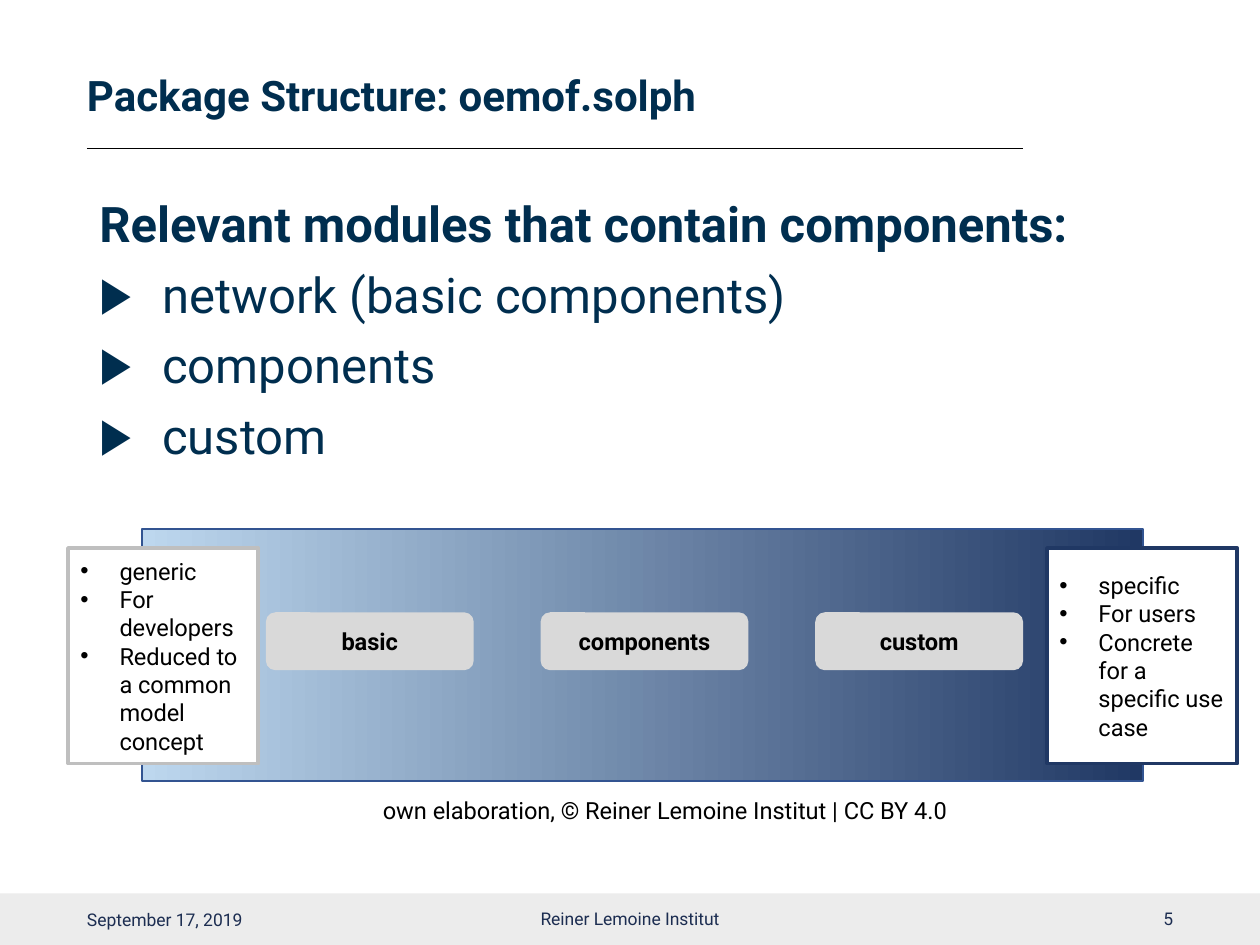
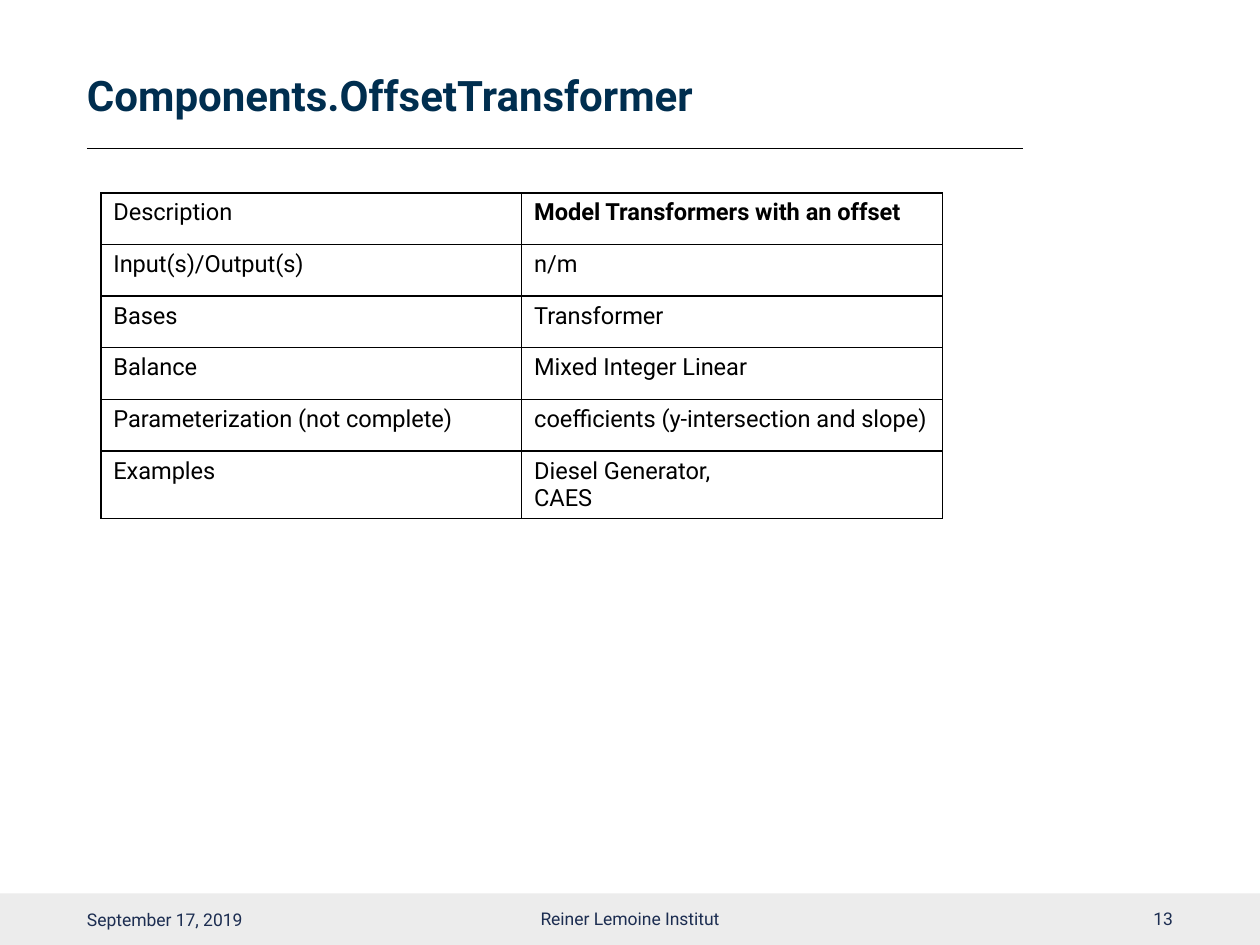
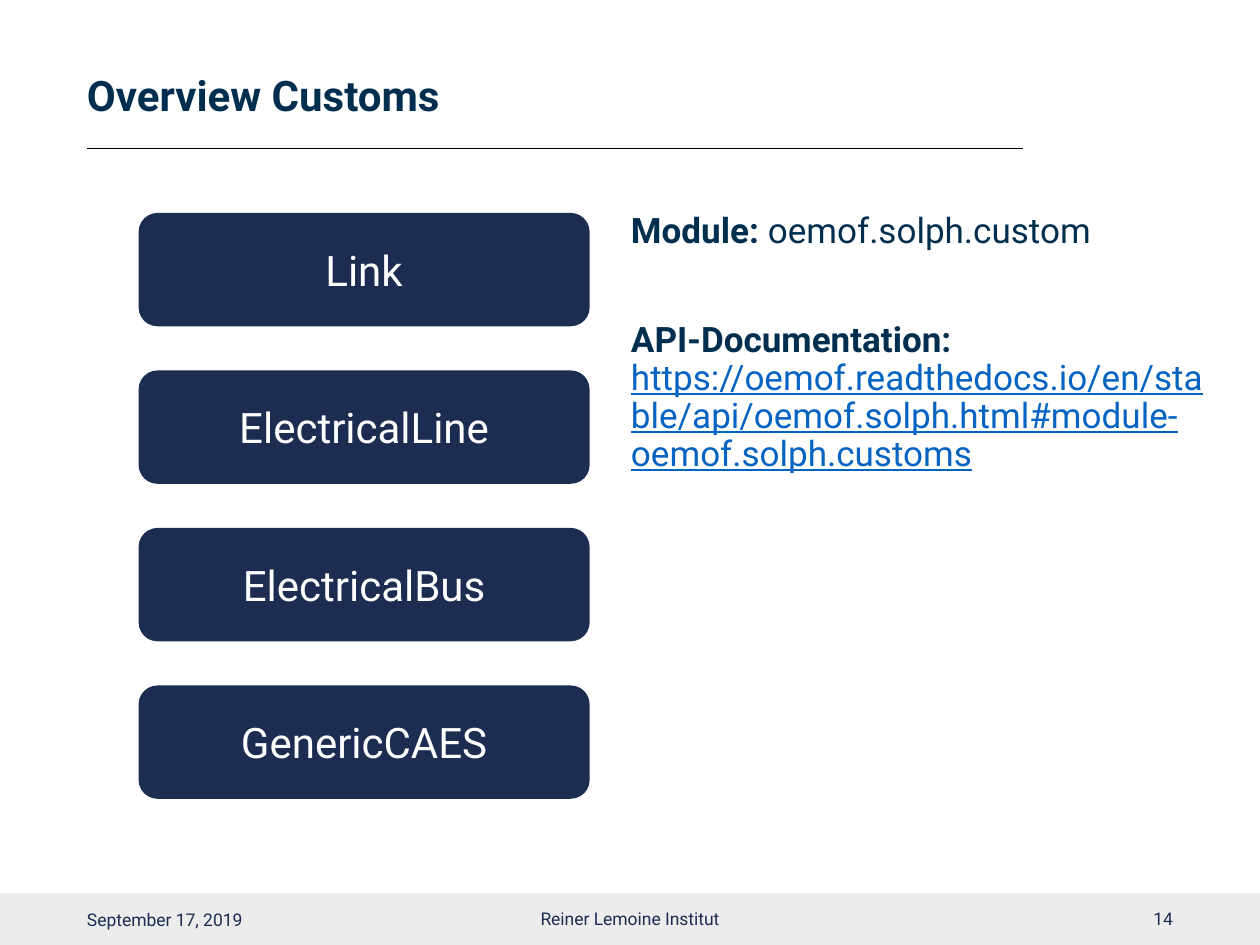
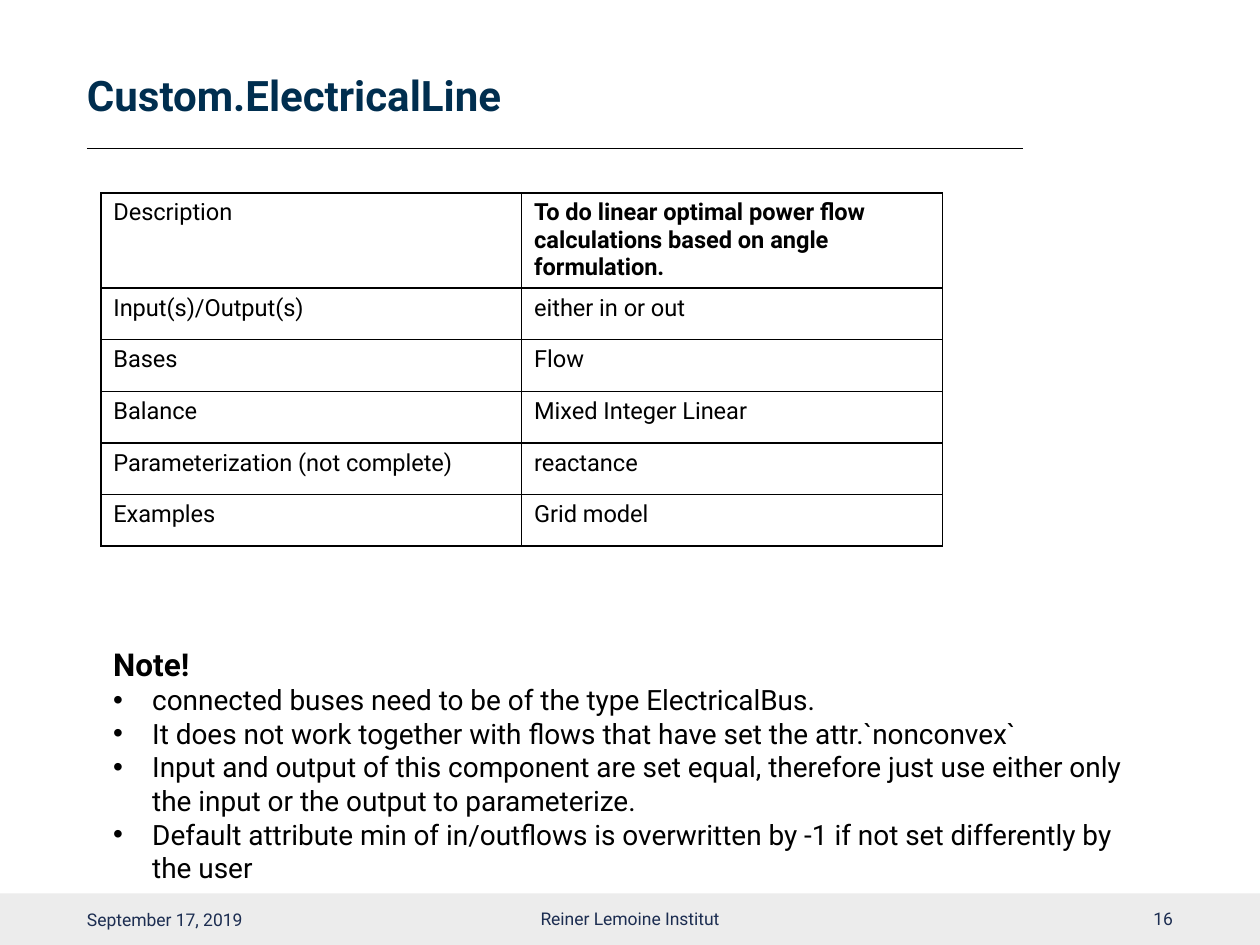
from collections import namedtuple
from dataclasses import dataclass

from lxml import etree
from pptx import Presentation
from pptx.dml.color import RGBColor
from pptx.enum.shapes import MSO_CONNECTOR, MSO_SHAPE
from pptx.enum.text import MSO_ANCHOR, MSO_AUTO_SIZE, PP_ALIGN
from pptx.oxml.ns import qn
from pptx.util import Inches, Pt

LEFT, MID, RIGHT = PP_ALIGN.LEFT, PP_ALIGN.CENTER, PP_ALIGN.RIGHT
TOP, CENTRE = MSO_ANCHOR.TOP, MSO_ANCHOR.MIDDLE
RECT, ROUND = MSO_SHAPE.RECTANGLE, MSO_SHAPE.ROUNDED_RECTANGLE
STRAIGHT = MSO_CONNECTOR.STRAIGHT

# Slide grid: 100 columns by 75 rows of square cells
COLS, ROWS, CELL = 100, 75, 0.1


@dataclass(frozen=True)
class Theme:
    font: str = "Roboto"
    ink: str = "002E4F"
    navy: str = "1C2D51"
    deep: str = "203864"
    sky: str = "BDD7EE"
    edge: str = "325491"
    link: str = "0563C1"
    band: str = "ECECEC"
    chip: str = "D9D9D9"
    grey: str = "BFBFBF"
    black: str = "000000"
    white: str = "FFFFFF"
    lead: float = 28
    title: float = 24
    text: float = 20
    head: float = 18
    note: float = 16
    small: float = 13.5
    foot: float = 10


T = Theme()
Box = namedtuple("Box", "x y w h")
Run = namedtuple("Run", "text bold color line size", defaults=(False, None, False, None))
# A bullet is its sign, its hanging indent in columns and its colour
Bullet = namedtuple("Bullet", "sign hang color")
Para = namedtuple("Para", "runs bullet before", defaults=(None, 0))
DOT = Bullet("•", 3.1, T.black)
ARROW = Bullet("▶", 5, T.ink)

TITLE = Box(6.9, 3.8, 74.3, 8)
FOOT = Box(0, 70.9, COLS, 4.1)
BODY = Box(6.9, 15.9, 86.2, 50.9)
GRID = Box(8, 15.3, 66.7, 24.6)


def rgb(code):
    return RGBColor.from_string(code)


def cells(*counts):
    return [Inches(round(n * CELL, 2)) for n in counts]


def inside(box, x, y, w, h):
    return Box(box.x + x, box.y + y, w, h)


def line(text, bold=False, bullet=None, before=0):
    return Para([Run(text, bold)], bullet, before)


def mark(para, bullet):
    """Give a paragraph a hanging bullet."""
    props = para._p.get_or_add_pPr()
    hang = cells(bullet.hang)[0]
    props.set("marL", str(hang))
    props.set("indent", str(-hang))
    tint = etree.SubElement(props, qn("a:buClr"))
    etree.SubElement(tint, qn("a:srgbClr"), val=bullet.color)
    etree.SubElement(props, qn("a:buFont"), typeface="Arial")
    etree.SubElement(props, qn("a:buChar"), char=bullet.sign)


def write(frame, paras, size, color, align=LEFT, space=None):
    for i, item in enumerate(paras):
        para = frame.add_paragraph() if i else frame.paragraphs[0]
        if item.bullet:
            mark(para, item.bullet)
        para.alignment = align
        if space:
            para.line_spacing = space
        if i and item.before:
            para.space_before = Pt(item.before)
        for part in item.runs:
            run = para.add_run()
            run.text = part.text
            font = run.font
            font.name, font.size = T.font, Pt(part.size or size)
            font.bold = part.bold
            font.color.rgb = rgb(part.color or color)
            if part.line:
                font.underline = True


def fit(frame, anchor, pads):
    frame.word_wrap, frame.auto_size = True, MSO_AUTO_SIZE.NONE
    frame.vertical_anchor = anchor
    (frame.margin_left, frame.margin_top,
     frame.margin_right, frame.margin_bottom) = cells(*pads)


def label(slide, box, paras, size, color, align=LEFT, anchor=TOP,
          space=None, pads=(1, 0.5, 1, 0.5)):
    frame = slide.shapes.add_textbox(*cells(*box)).text_frame
    fit(frame, anchor, pads)
    write(frame, paras, size, color, align, space)


def block(slide, kind, box, fill=None, edge=None, width=1):
    shape = slide.shapes.add_shape(kind, *cells(*box))
    shape.shadow.inherit = False
    if fill:
        shape.fill.solid()
        shape.fill.fore_color.rgb = rgb(fill)
    if edge:
        shape.line.color.rgb = rgb(edge)
        shape.line.width = Pt(width)
    else:
        shape.line.fill.background()
    fit(shape.text_frame, CENTRE, (1, 0.5, 1, 0.5))
    return shape


# Parts that all slides share
def dress(layout, slide):
    """Draw the rule and footer band, then hand them to the layout."""
    base = TITLE.y + TITLE.h
    rule = slide.shapes.add_connector(
        STRAIGHT, *cells(TITLE.x, base, TITLE.x + TITLE.w, base))
    rule.line.color.rgb, rule.line.width = rgb(T.black), Pt(0.5)
    etree.SubElement(rule.element.spPr, qn("a:effectLst"))
    band = block(slide, RECT, FOOT, T.band)
    for part in (rule, band):
        layout.shapes.element.insert(2, part.element)


def footer(slide, box, page):
    label(slide, inside(box, 70.6, 0, 22.5, 4), [line(str(page))], T.foot,
          T.navy, RIGHT, CENTRE, pads=(0, 0.5, 0, 0.5))
    label(slide, inside(box, 33.1, 0, 33.8, 4), [line("Reiner Lemoine Institut")],
          T.foot, T.navy, MID, CENTRE)
    label(slide, inside(box, 6.9, 0.1, 22.5, 4), [line("September 17, 2019")],
          T.foot, T.navy, LEFT, CENTRE, pads=(0, 0.5, 1, 0.5))


def start(deck, name, page):
    slide = deck.slides.add_slide(deck.slide_layouts[5])
    title = slide.shapes.title
    title.left, title.top, title.width, title.height = cells(*TITLE)
    fit(title.text_frame, CENTRE, (0, 0.5, 1, 0.5))
    write(title.text_frame, [line(name, True)], T.title, T.ink, space=0.9)
    footer(slide, FOOT, page)
    return slide


# Regions
def body(slide, box, paras, size):
    label(slide, box, paras, size, T.ink, space=0.9, pads=(1, 0, 1, 0.5))


def scale(slide, box):
    """Gradient panel from generic to specific, with its modules."""
    panel = block(slide, RECT, box, edge=T.edge)
    panel.fill.gradient()
    panel.fill.gradient_angle = 180
    for stop, tone in zip(panel.fill.gradient_stops, (T.deep, T.sky)):
        stop.color.rgb = rgb(tone)

    sides = [
        (-5.9, T.grey, ["generic", "For developers",
                        "Reduced to a common model concept"]),
        (71.8, T.deep, ["specific", "For users",
                        "Concrete for a specific use case"]),
    ]
    for x, edge, items in sides:
        side = block(slide, RECT, inside(box, x, 1.5, 15.1, 17.1),
                     T.white, edge, 2.25)
        write(side.text_frame, [line(t, bullet=DOT) for t in items],
              T.small, T.black)

    for i, name in enumerate(["basic", "components", "custom"]):
        chip = block(slide, ROUND, inside(box, 9.8 + 21.8 * i, 6.6, 16.5, 4.6), T.chip)
        write(chip.text_frame, [line(name, True)], T.small, T.black, MID)

    label(slide, inside(box, 18.1, 20.7, 47.9, 3.3),
          [line("own elaboration, © Reiner Lemoine Institut | CC BY 4.0")],
          T.small, T.black)


def stack(slide, box, names, step):
    for i, name in enumerate(names):
        tile = block(slide, ROUND, inside(box, 0, step * i, box.w, box.h), T.navy)
        write(tile.text_frame, [line(name)], T.title, T.white, MID)


def border(cell):
    props = cell._tc.get_or_add_tcPr()
    for i, side in enumerate(("lnL", "lnR", "lnT", "lnB")):
        edge = etree.Element(qn("a:" + side), w=str(Pt(1)))
        fill = etree.SubElement(edge, qn("a:solidFill"))
        etree.SubElement(fill, qn("a:srgbClr"), val=T.black)
        props.insert(i, edge)


def facts(slide, box, values):
    """Two-column table; a value is a list of paragraphs."""
    names = ["Description", "Input(s)/Output(s)", "Bases", "Balance",
             "Parameterization (not complete)", "Examples"]
    table = slide.shapes.add_table(len(names), 2, *cells(*box)).table
    table.first_row = table.horz_banding = False
    for col in table.columns:
        col.width = cells(box.w / 2)[0]
    for r, (name, value) in enumerate(zip(names, values)):
        table.rows[r].height = cells(box.h / len(names))[0]
        for c, texts in enumerate(([name], value)):
            cell = table.cell(r, c)
            cell.fill.background()
            border(cell)
            bold = r == 0 and c == 1
            write(cell.text_frame, [line(t, bold) for t in texts],
                  T.small, T.black)


def note(slide, box, items):
    head = Para([Run("Note!", True, size=T.head)])
    label(slide, box, [head] + [line(t, bullet=DOT) for t in items],
          T.note, T.black)


# Slides
def modules(deck):
    slide = start(deck, "Package Structure: oemof.solph", 5)
    dress(slide.slide_layout, slide)
    items = ["network (basic components)", "components", "custom"]
    body(slide, BODY,
         [line("Relevant modules that contain components:", True)]
         + [line(t, bullet=ARROW, before=10) for t in items], T.lead)
    scale(slide, Box(11.3, 42, 79.4, 20))


def offset(deck):
    slide = start(deck, "Components.OffsetTransformer", 13)
    facts(slide, GRID, [
        ["Model Transformers with an offset"], ["n/m"], ["Transformer"],
        ["Mixed Integer Linear"], ["coefficients (y-intersection and slope)"],
        ["Diesel Generator,", "CAES"]])


def customs(deck):
    slide = start(deck, "Overview Customs", 14)
    stack(slide, Box(11, 16.9, 35.8, 9),
          ["Link", "ElectricalLine", "ElectricalBus", "GenericCAES"], 12.5)
    site = ("https://oemof.readthedocs.io/en/stable/api/"
            "oemof.solph.html#module-oemof.solph.customs")
    body(slide, Box(49.1, 16.9, 47.7, 49.9), [
        Para([Run("Module: ", True), Run("oemof.solph.custom")]),
        Para([Run("API-Documentation: ", True),
              Run(site, color=T.link, line=True)], before=41)], T.text)


def power(deck):
    slide = start(deck, "Custom.ElectricalLine", 16)
    facts(slide, GRID, [
        ["To do linear optimal power flow calculations based on angle formulation."],
        ["either in or out"], ["Flow"], ["Mixed Integer Linear"],
        ["reactance"], ["Grid model"]])
    note(slide, Box(8, 50.7, 83.9, 20.2), [
        "connected buses need to be of the type ElectricalBus.",
        "It does not work together with flows that have set the attr.`nonconvex`",
        "Input and output of this component are set equal, therefore just use "
        "either only the input or the output to parameterize.",
        "Default attribute min of in/outflows is overwritten by -1 if not set "
        "differently by the user"])


def main():
    deck = Presentation()
    deck.slide_width, deck.slide_height = cells(COLS, ROWS)
    for build in (modules, offset, customs, power):
        build(deck)
    deck.save("out.pptx")


if __name__ == "__main__":
    main()
